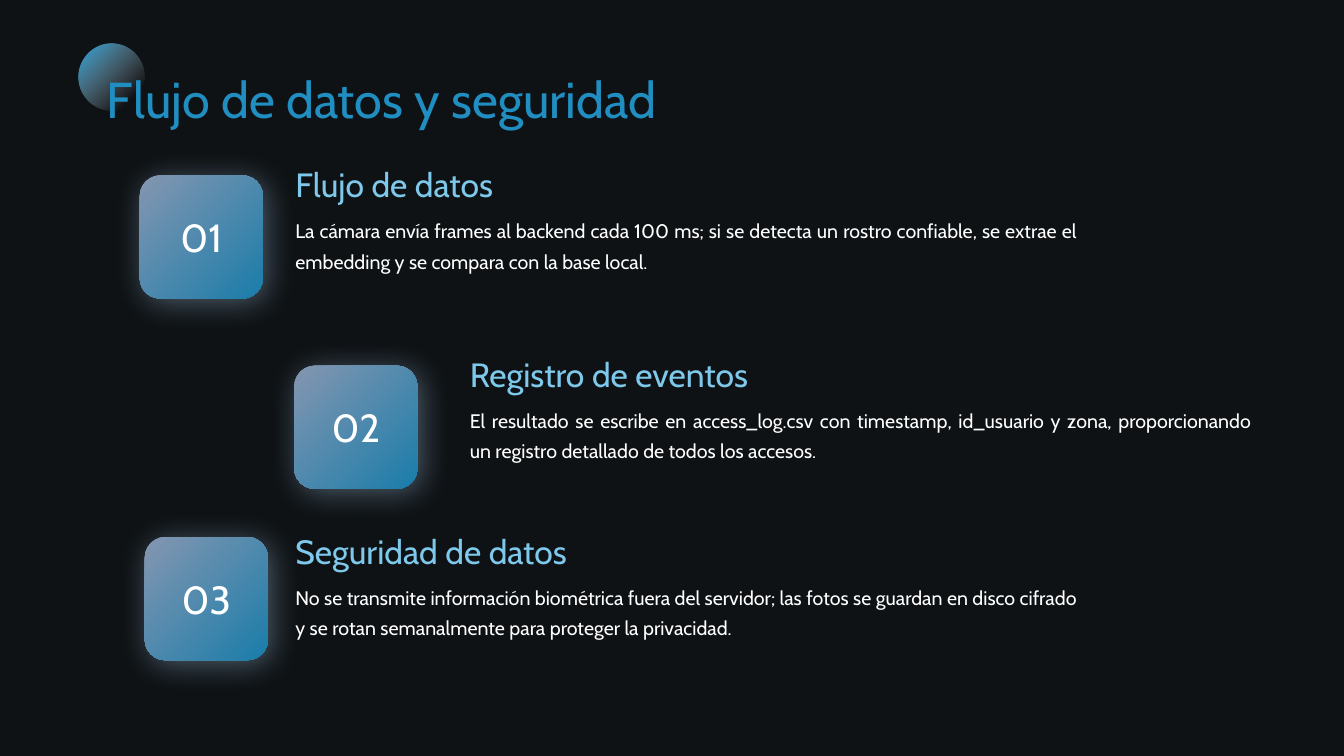
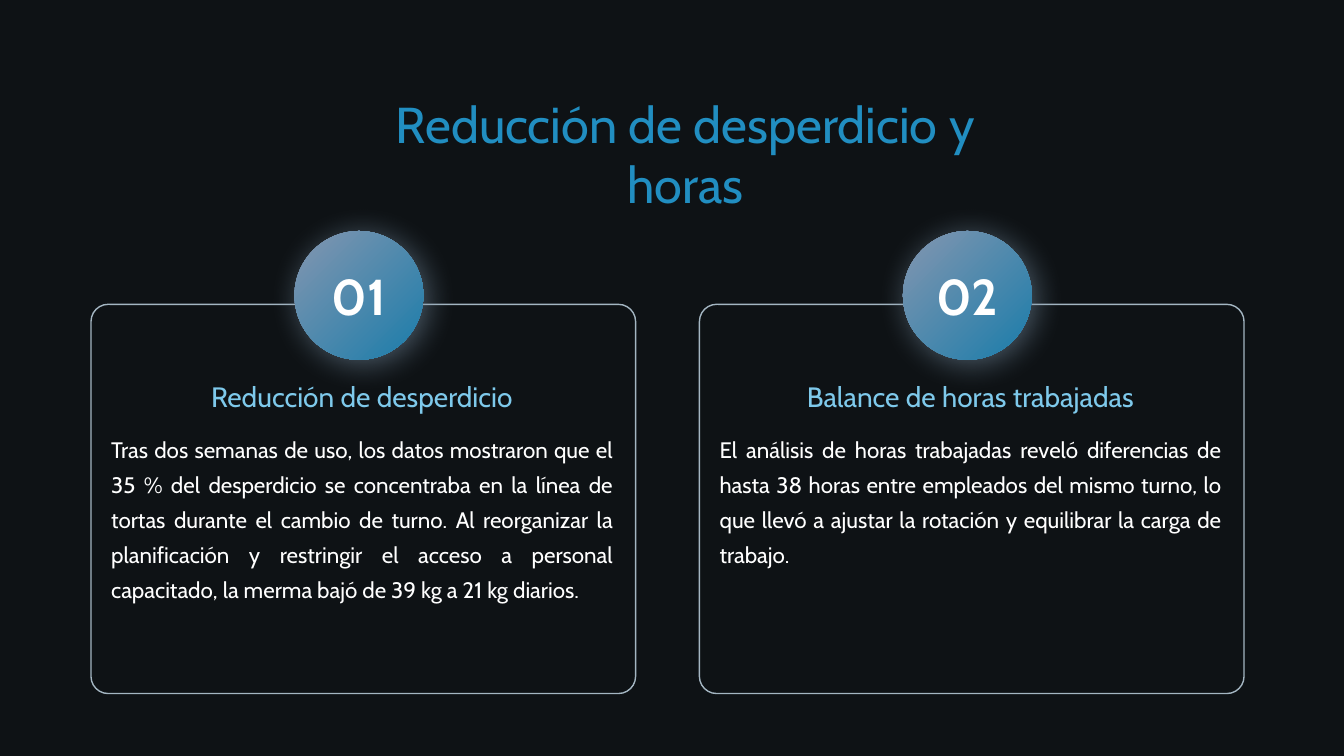
from lxml.etree import SubElement
from pptx import Presentation
from pptx.dml.color import RGBColor
from pptx.enum.shapes import MSO_SHAPE as Preset
from pptx.enum.text import MSO_ANCHOR as Anchor, PP_ALIGN as Align
from pptx.oxml.ns import qn
from pptx.util import Pt

COLORS = {
    "background": "0E1215",
    "title": "218EC1",
    "heading": "7EC9EB",
    "text": "FFFFFF",
    "badge_start": "8496B0",
    "badge_end": "1A7CAA",
    "glow": "788FA3",
    "accent": "28A4DE",
    "fade": "C5C9CE",
    "border": "A4B6C2",
}
FONT = "Cabin"


def rgb(name):
    return RGBColor.from_string(COLORS[name])


class Deck:
    """Shared style plus the slide being built; all lengths are points."""

    def __init__(self):
        self.presentation = Presentation()
        self.presentation.slide_width = Pt(960)
        self.presentation.slide_height = Pt(540)
        self.slide = None

    def add_slide(self):
        self.slide = self.presentation.slides.add_slide(self.presentation.slide_layouts[6])
        fill = self.slide.background.fill
        fill.solid()
        fill.fore_color.rgb = rgb("background")

    def set_text(self, shape, text, size, color="text", align=Align.LEFT,
                 spacing=1.0, anchor=Anchor.TOP, bold=False):
        frame = shape.text_frame
        frame.word_wrap = True
        frame.vertical_anchor = anchor
        frame.margin_left = frame.margin_right = 0
        frame.margin_top = frame.margin_bottom = 0
        paragraph = frame.paragraphs[0]
        paragraph.alignment = align
        paragraph.line_spacing = spacing
        run = paragraph.add_run()
        run.text = text
        run.font.name = FONT
        run.font.size = Pt(size)
        run.font.bold = bold
        run.font.color.rgb = rgb(color)

    def text(self, box, text, size, **style):
        shape = self.slide.shapes.add_textbox(*map(Pt, box))
        self.set_text(shape, text, size, **style)

    def title(self, box, text, **style):
        self.text(box, text, 36, color="title", **style)

    def heading(self, box, text, size, **style):
        self.text(box, text, size, color="heading", **style)

    def body(self, box, text, size):
        self.text(box, text, size, align=Align.JUSTIFY, spacing=1.3)

    def shape(self, preset, box):
        shape = self.slide.shapes.add_shape(preset, *map(Pt, box))
        shape.shadow.inherit = False
        return shape

    def gradient_shape(self, preset, box, start, end, end_position=1.0):
        shape = self.shape(preset, box)
        shape.line.fill.background()
        shape.fill.gradient()
        shape.fill.gradient_angle = 315
        first, last = shape.fill.gradient_stops
        first.color.rgb, first.position = rgb(start), 0
        last.color.rgb, last.position = rgb(end), end_position
        return shape

    def badge(self, preset, box, number, size, bold=False):
        """Numbered gradient shape with a soft glow."""
        shape = self.gradient_shape(preset, box, "badge_start", "badge_end")
        effects = shape._element.spPr.find(qn("a:effectLst"))
        shadow = SubElement(effects, qn("a:outerShdw"), blurRad=str(Pt(22.9)),
                            dist=str(Pt(4)), dir="2700000", algn="ctr", rotWithShape="0")
        color = SubElement(shadow, qn("a:srgbClr"), val=COLORS["glow"])
        SubElement(color, qn("a:alpha"), val="60000")
        self.set_text(shape, f"{number:02}", size, align=Align.CENTER,
                      anchor=Anchor.MIDDLE, bold=bold)

    def fading_dot(self, box):
        """Circle that fades to fully transparent."""
        shape = self.gradient_shape(Preset.OVAL, box, "accent", "fade", 0.81)
        *_, end_color = shape._element.spPr.iter(qn("a:srgbClr"))
        SubElement(end_color, qn("a:alpha"), val="0")

    def card(self, box):
        shape = self.shape(Preset.ROUNDED_RECTANGLE, box)
        shape.adjustments[0] = 0.044
        shape.fill.background()
        shape.line.color.rgb = rgb("border")
        shape.line.width = Pt(1)


# Heading corner, tile corner, heading, body
STEPS = [
    ((211, 117.4), (99.8, 125.3), "Flujo de datos",
     "La cámara envía frames al backend cada 100 ms; si se detecta un rostro confiable, "
     "se extrae el embedding y se compara con la base local."),
    ((335.6, 253), (210.2, 261.2), "Registro de eventos",
     "El resultado se escribe en access_log.csv con timestamp, id_usuario y zona, "
     "proporcionando un registro detallado de todos los accesos."),
    ((211, 379.4), (103.4, 383.6), "Seguridad de datos",
     "No se transmite información biométrica fuera del servidor; las fotos se guardan en "
     "disco cifrado y se rotan semanalmente para proteger la privacidad."),
]

RESULTS = [
    ("Reducción de desperdicio",
     "Tras dos semanas de uso, los datos mostraron que el 35 % del desperdicio se "
     "concentraba en la línea de tortas durante el cambio de turno. Al reorganizar la "
     "planificación y restringir el acceso a personal capacitado, la merma bajó de 39 kg "
     "a 21 kg diarios."),
    ("Balance de horas trabajadas",
     "El análisis de horas trabajadas reveló diferencias de hasta 38 horas entre empleados "
     "del mismo turno, lo que llevó a ajustar la rotación y equilibrar la carga de trabajo."),
]


def build_data_flow(deck):
    deck.add_slide()
    # Staggered steps
    for number, ((left, top), tile, heading, body) in enumerate(STEPS, 1):
        deck.heading((left, top, 454, 29), heading, 24)
        deck.body((left, top + 34, 558.7, 95), body, 14)
        deck.badge(Preset.ROUNDED_RECTANGLE, (*tile, 88, 88), number, 28)
    # Title over its dot
    deck.fading_dot((56, 31.5, 47.5, 47.5))
    deck.title((76.3, 40.3, 829, 52.5), "Flujo de datos y seguridad", spacing=1.2)


def build_results(deck):
    deck.add_slide()
    deck.title((257, 66.2, 465, 44), "Reducción de desperdicio y horas", align=Align.CENTER)
    # Two equal cards
    for index, (heading, body) in enumerate(RESULTS):
        left = 65 + 434.6 * index
        deck.card((left, 217.4, 389, 278))
        deck.body((left + 14.4, 306, 358.6, 148), body, 16)
        deck.heading((left + 64, 270.7, 259, 59), heading, 20, align=Align.CENTER)
        deck.badge(Preset.OVAL, (left + 145.4, 165, 92, 92), index + 1, 36, bold=True)


def main():
    deck = Deck()
    build_data_flow(deck)
    build_results(deck)
    deck.presentation.save("out.pptx")


if __name__ == "__main__":
    main()
